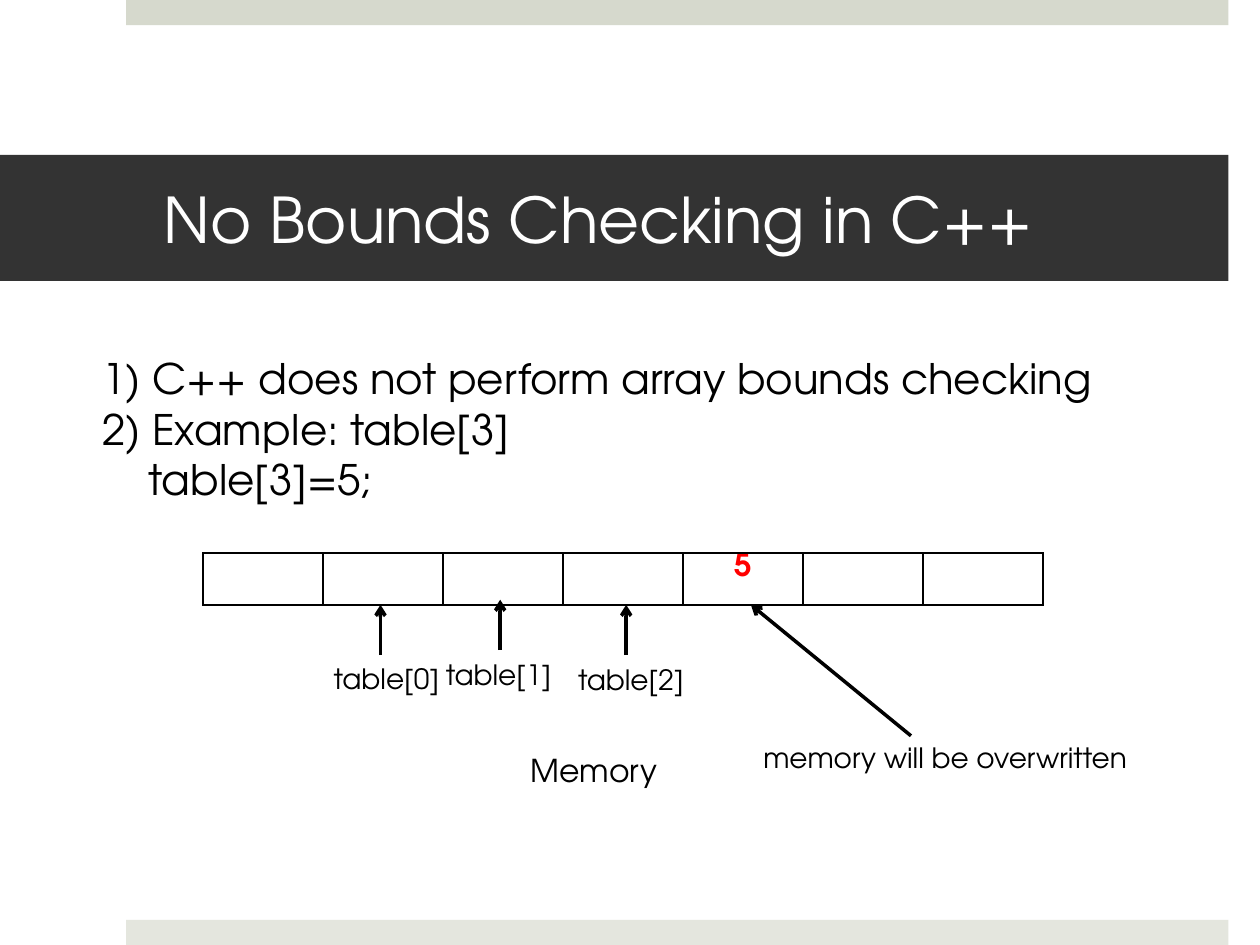
from dataclasses import dataclass

from lxml.etree import SubElement
from pptx import Presentation
from pptx.dml.color import RGBColor as RGB
from pptx.enum.shapes import MSO_CONNECTOR as CONN, MSO_SHAPE as SHAPE
from pptx.enum.text import MSO_ANCHOR as ANCHOR, MSO_AUTO_SIZE as FIT, PP_ALIGN as ALIGN
from pptx.oxml import parse_xml
from pptx.oxml.ns import nsdecls, qn
from pptx.util import Inches, Pt


@dataclass(frozen=True)
class Theme:
    """Colours, font and type sizes of the slide."""
    font: str = "TeX Gyre Adventor"
    ink: RGB = RGB(0, 0, 0)
    paper: RGB = RGB(255, 255, 255)
    band: RGB = RGB(0x33, 0x33, 0x33)
    top_bar: RGB = RGB(0xD6, 0xD9, 0xCD)
    bottom_bar: RGB = RGB(0xE4, 0xE6, 0xDE)
    alert: RGB = RGB(255, 0, 0)
    title: int = 36
    body: int = 24
    memory: int = 18
    label: int = 16


def write(p, text, size, color=Theme.ink, bold=False):
    """Put text in a paragraph with the theme font."""
    p.text = text
    for font in (p.font, p.runs[0].font):
        font.name, font.size, font.bold = Theme.font, Pt(size), bold
        font.color.rgb = color


def arrow(s, start, end):
    """Draw a line from start to end with an open arrowhead at its end."""
    line = s.shapes.add_connector(CONN.STRAIGHT, *map(Inches, start + end))
    line.line.color.rgb, line.line.width = Theme.ink, Pt(2)
    SubElement(line.line._get_or_add_ln(), qn("a:tailEnd"), type="arrow")
    SubElement(line._element.spPr, qn("a:effectLst"))


prs = Presentation()
prs.slide_width, prs.slide_height = Inches(10), Inches(7.5)
s = prs.slides.add_slide(prs.slide_layouts[1])
title, body = s.placeholders

# Bars at the top and bottom edges
right, bar_h = 9.75, 0.2
for y, color in ((0, Theme.top_bar), (7.5 - bar_h, Theme.bottom_bar)):
    bar = s.shapes.add_shape(SHAPE.RECTANGLE, *map(Inches, (1, y, right - 1, bar_h)))
    bar.shadow.inherit = False
    bar.fill.solid()
    bar.fill.fore_color.rgb = color
    bar.line.fill.background()

# Title band
title.left, title.top, title.width, title.height = map(Inches, (0, 1.23, right, 1))
title.fill.solid()
title.fill.fore_color.rgb = Theme.band
tf = title.text_frame
tf.margin_left, tf.margin_right = Inches(1.3), Inches(0.3)
tf.vertical_anchor, tf.auto_size = ANCHOR.MIDDLE, FIT.NONE
write(tf.paragraphs[0], "No Bounds Checking in C++", Theme.title, Theme.paper)
tf.paragraphs[0].alignment = ALIGN.LEFT

# Numbered statements
body.left, body.top, body.width, body.height = map(Inches, (0.44, 2.75, 9.31, 1.72))
tf = body.text_frame
tf.auto_size = FIT.NONE
statements = (
    ("1) C++ does not perform array bounds checking", 0.27),
    ("2) Example: table[3]", 0.27),
    ("table[3]=5;", 0.64),
)
for i, (text, indent) in enumerate(statements):
    p = tf.add_paragraph() if i else tf.paragraphs[0]
    write(p, text, Theme.body)
    p.space_before = Pt(0)
    pPr = p._p.get_or_add_pPr()
    pPr.set("marL", str(Inches(indent)))
    pPr.set("indent", "0")
    pPr.insert_element_before(parse_xml(f"<a:buNone {nsdecls('a')}/>"), "a:defRPr")

# Memory cells
cells, cell_w, row_h = 7, 0.953, 0.41
left, top = 1.61, 4.39
table = s.shapes.add_table(1, cells, *map(Inches, (left, top, cells * cell_w, row_h))).table
table.first_row = table.horz_banding = False
for column, cell in zip(table.columns, table.rows[0].cells):
    column.width = Inches(cell_w)
    cell.margin_top = cell.margin_bottom = 0
    cell.fill.background()
    for i, side in enumerate(("lnL", "lnR", "lnT", "lnB")):
        cell._tc.get_or_add_tcPr().insert(i, parse_xml(
            f'<a:{side} {nsdecls("a")} w="{Pt(1)}"><a:solidFill>'
            f'<a:srgbClr val="{Theme.ink}"/></a:solidFill></a:{side}>'))
p = table.cell(0, 4).text_frame.paragraphs[0]
write(p, "5", Theme.memory, Theme.alert, bold=True)
p.alignment = ALIGN.CENTER

# Labels below the cells
labels = (
    ("table[0]", 2.55, 5.2, 1.06, Theme.label),
    ("table[1]", 3.44, 5.17, 1.06, Theme.label),
    ("table[2]", 4.49, 5.21, 1.06, Theme.label),
    ("Memory", 4.11, 5.91, 1.21, Theme.memory),
    ("memory will be overwritten", 5.96, 5.83, 3.13, Theme.label),
)
for text, x, y, w, size in labels:
    tf = s.shapes.add_textbox(*map(Inches, (x, y, w, size * 0.023))).text_frame
    tf.word_wrap, tf.auto_size = False, FIT.SHAPE_TO_FIT_TEXT
    write(tf.paragraphs[0], text, size)

# Arrows up to the cells
for x, tip in ((3.02, 4.8), (3.97, 4.76), (4.97, 4.8)):
    arrow(s, (x, tip + 0.4), (x, tip))
arrow(s, (7.23, 5.84), (5.96, 4.8))

prs.save("out.pptx")
